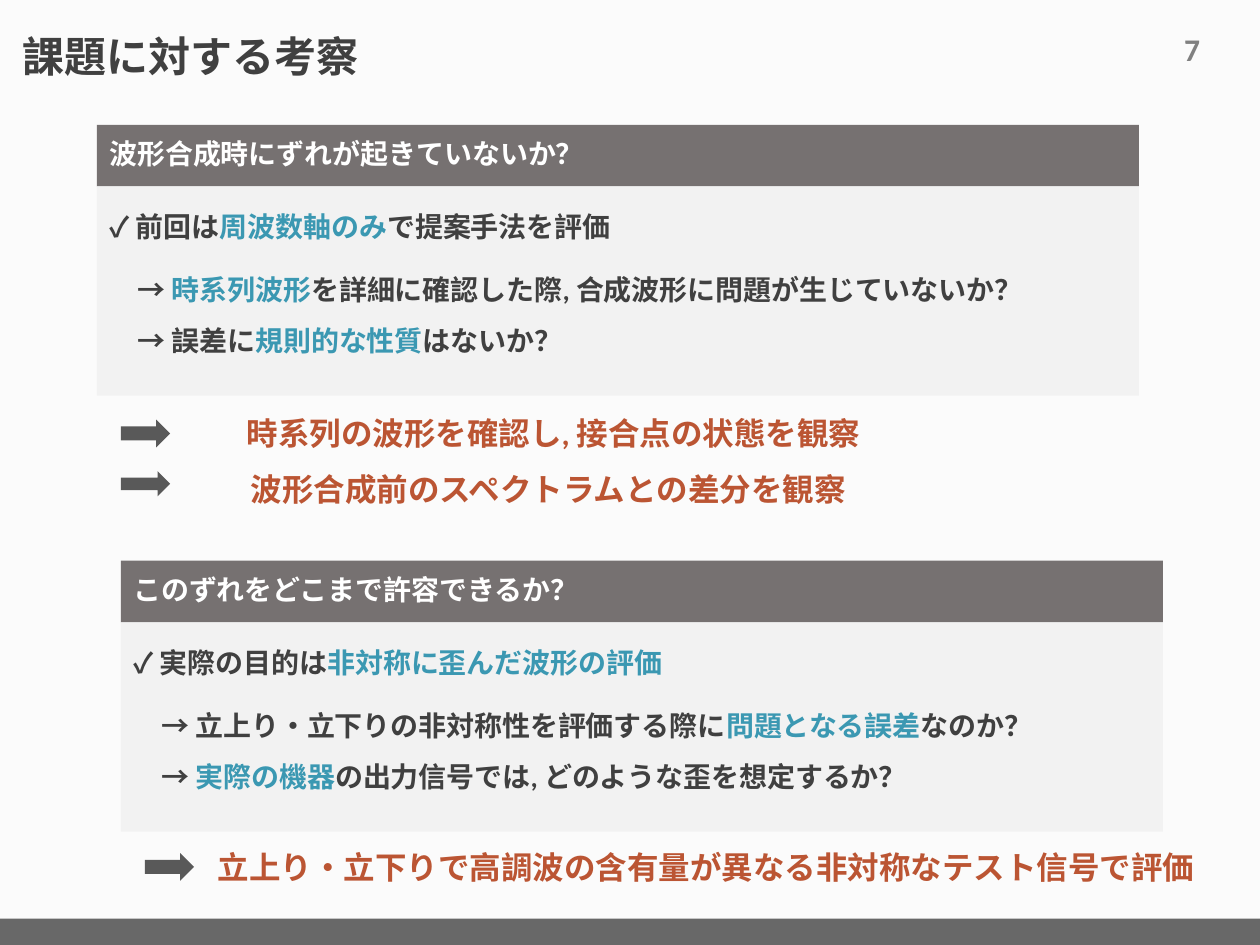
from lxml import etree
from pptx import Presentation
from pptx.dml.color import RGBColor
from pptx.enum.shapes import MSO_SHAPE
from pptx.enum.text import MSO_ANCHOR, PP_ALIGN
from pptx.oxml.ns import qn
from pptx.util import Inches, Pt

RECTANGLE = MSO_SHAPE.RECTANGLE
RIGHT_ARROW = MSO_SHAPE.RIGHT_ARROW
TOP, MIDDLE, BOTTOM = MSO_ANCHOR.TOP, MSO_ANCHOR.MIDDLE, MSO_ANCHOR.BOTTOM
LEFT = PP_ALIGN.LEFT

BACKGROUND = RGBColor(0xFB, 0xFB, 0xFB)
DARK = RGBColor(0x40, 0x40, 0x40)
GRAY = RGBColor(0x59, 0x59, 0x59)
NUMBER_GRAY = RGBColor(0x80, 0x80, 0x80)
HEADER = RGBColor(0x76, 0x71, 0x71)
PANEL = RGBColor(0xF2, 0xF2, 0xF2)
WHITE = RGBColor(0xFF, 0xFF, 0xFF)
TEAL = RGBColor(0x3B, 0x98, 0xB2)
ORANGE = RGBColor(0xBB, 0x55, 0x33)

presentation = Presentation()
presentation.slide_width = Inches(10)
presentation.slide_height = Inches(7.5)
slide = presentation.slides.add_slide(presentation.slide_layouts[5])
slide.background.fill.solid()
slide.background.fill.fore_color.rgb = BACKGROUND


def add_filled_shape(kind, left, top, width, height, color):
    shape = slide.shapes.add_shape(
        kind, Inches(left), Inches(top), Inches(width), Inches(height))
    shape.shadow.inherit = False
    shape.fill.solid()
    shape.fill.fore_color.rgb = color
    shape.line.fill.background()
    return shape


def add_runs(paragraph, runs, size, font_name="Calibri"):
    paragraph.alignment = LEFT
    for text, color in runs:
        if text == "\n":
            paragraph.add_line_break()
            line_break = paragraph._p.findall(qn("a:br"))[-1]
            etree.SubElement(line_break, qn("a:rPr"), sz=str(size * 100), b="1")
            continue
        run = paragraph.add_run()
        run.text = text
        run.font.name = font_name
        run.font.size = Pt(size)
        run.font.bold = True
        run.font.color.rgb = color


footer_bar = add_filled_shape(RECTANGLE, 0, 7.29, 10, 0.21, GRAY)
footer_color = footer_bar._element.spPr.find(".//" + qn("a:srgbClr"))
etree.SubElement(footer_color, qn("a:alpha"), val="90000")

title = slide.shapes.title
title.left, title.top = Inches(0.08), Inches(0.08)
title.width, title.height = Inches(5.35), Inches(0.62)
title.text_frame.vertical_anchor = BOTTOM
title_paragraph = title.text_frame.paragraphs[0]
title_paragraph.line_spacing = 0.9
add_runs(title_paragraph, [("課題に対する考察", DARK)], 24, "Arial")

sections = [
    (0.77, 0.99, "波形合成時にずれが起きていないか？", [
        [("✓ 前回は", DARK), ("周波数軸のみ", TEAL), ("で提案手法を評価", DARK)],
        [("　→ ", DARK), ("時系列波形", TEAL),
         ("を詳細に確認した際, 合成波形に問題が生じていないか？", DARK),
         ("\n", DARK), ("　→ 誤差に", DARK), ("規則的な性質", TEAL),
         ("はないか？", DARK)],
    ]),
    (0.96, 4.45, "このずれをどこまで許容できるか？", [
        [("✓ 実際の目的は", DARK), ("非対称に歪んだ波形の評価", TEAL)],
        [("　→ 立上り・立下りの非対称性を評価する際に", DARK),
         ("問題となる誤差", TEAL), ("なのか？", DARK),
         ("\n", DARK), ("　→ ", DARK), ("実際の機器", TEAL),
         ("の出力信号では, どのような歪を想定するか？", DARK)],
    ]),
]
for left, top, heading, points in sections:
    header = add_filled_shape(RECTANGLE, left, top, 8.27, 0.49, HEADER)
    header.text_frame.word_wrap = True
    header.text_frame.vertical_anchor = MIDDLE
    heading_paragraph = header.text_frame.paragraphs[0]
    heading_paragraph.line_spacing = 0.9
    add_runs(heading_paragraph, [(heading, WHITE)], 16)

    panel = add_filled_shape(RECTANGLE, left, top + 0.49, 8.27, 1.66, PANEL)
    panel.text_frame.word_wrap = True
    panel.text_frame.vertical_anchor = TOP
    for index, runs in enumerate(points):
        if index == 0:
            paragraph = panel.text_frame.paragraphs[0]
        else:
            paragraph = panel.text_frame.add_paragraph()
        paragraph.line_spacing = 1.5
        paragraph.space_before = Pt(7.5)
        add_runs(paragraph, runs, 16)

labels = [
    (9.3, 0.19, 0.53, "7", NUMBER_GRAY),
    (1.86, 3.24, 5.46, "時系列の波形を確認し, 接合点の状態を観察", ORANGE),
    (1.89, 3.68, 5.46, "波形合成前のスペクトラムとの差分を観察", ORANGE),
    (1.63, 6.68, 8.01, "立上り・立下りで高調波の含有量が異なる非対称なテスト信号で評価", ORANGE),
]
for left, top, width, text, color in labels:
    label = slide.shapes.add_textbox(
        Inches(left), Inches(top), Inches(width), Inches(0.4))
    label.text_frame.word_wrap = True
    add_runs(label.text_frame.paragraphs[0], [(text, color)], 18)

for left, top, height in [(0.96, 3.33, 0.22), (0.96, 3.74, 0.2), (1.15, 6.77, 0.22)]:
    add_filled_shape(RIGHT_ARROW, left, top, 0.39, height, GRAY)

presentation.save("out.pptx")
